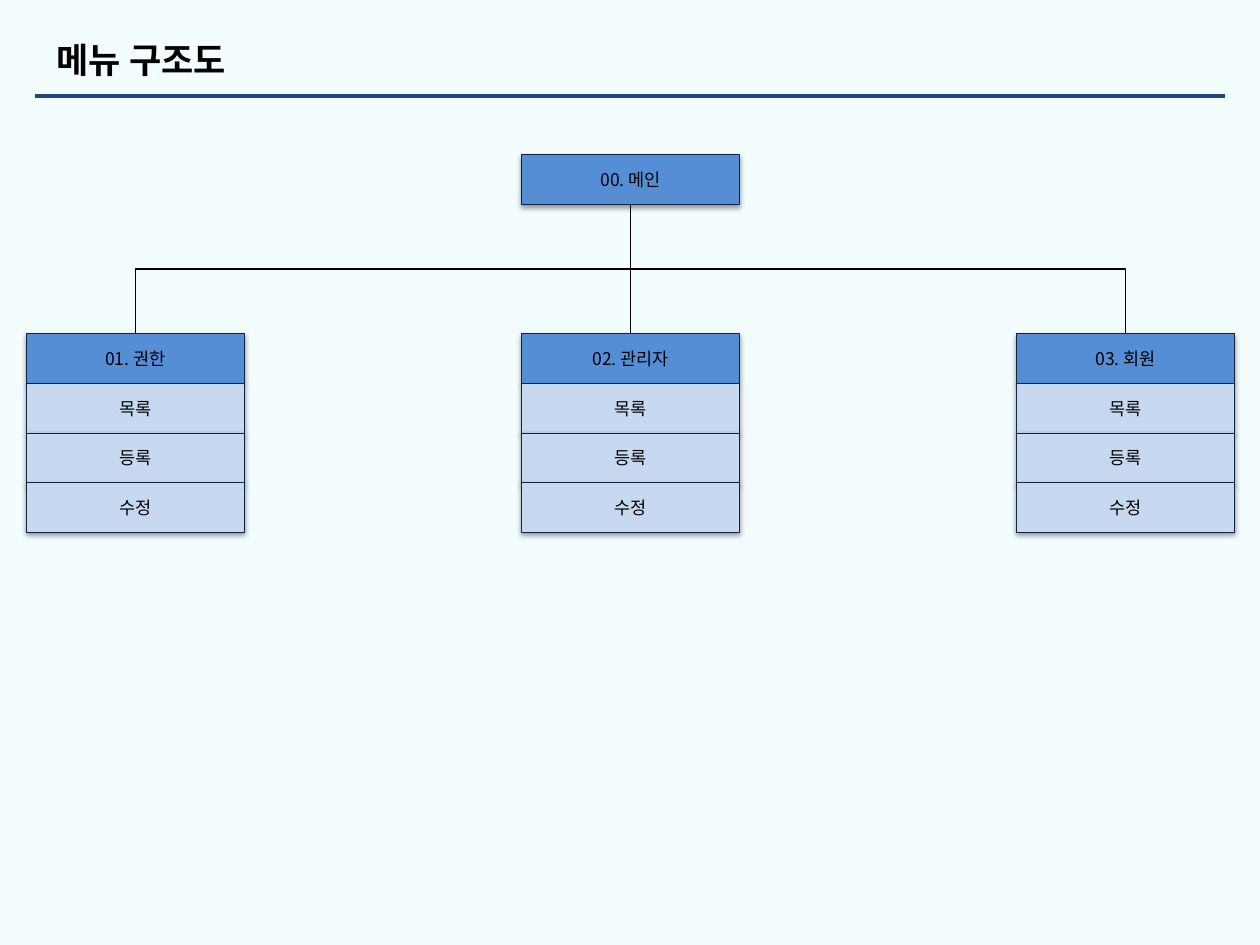
from lxml.etree import SubElement
from pptx import Presentation
from pptx.dml.color import RGBColor
from pptx.enum.shapes import MSO_CONNECTOR, MSO_SHAPE
from pptx.enum.text import MSO_ANCHOR, MSO_AUTO_SIZE, PP_ALIGN
from pptx.oxml import parse_xml
from pptx.oxml.ns import nsdecls, qn
from pptx.util import Cm, Pt

# Content
TITLE = "메뉴 구조도"
ROOT = "00. 메인"
PAGES = ["목록", "등록", "수정"]
MENUS = [("01. 권한", PAGES), ("02. 관리자", PAGES), ("03. 회원", PAGES)]

# Theme
THEME = {
    "font": "Noto Sans CJK KR",
    "title_size": 20, "box_size": 10,
    "background": "F3FCFF", "text": "000000",
    "head": "558ED5", "item": "C6D9F1",
    "border": "0F243E", "link": "000000", "rule": "1F497D",
    "root_line": 0.75, "box_line": 0.5, "link_line": 0.75, "rule_line": 2.5,
}

# Layout in centimetres
BOX_WIDTH, BOX_HEIGHT = 4.4, 1.0
FIRST_LEFT, COLUMN_STEP = 0.53, 9.98
ROOT_TOP, MENU_TOP = 3.12, 6.73
RULE_LEFT, RULE_RIGHT, RULE_TOP = 0.71, 24.69, 1.93

SHADOW = (
    f'<a:effectLst {nsdecls("a")}>'
    '<a:outerShdw blurRad="39370" dist="20320" dir="5400000" rotWithShape="0">'
    '<a:srgbClr val="000000"><a:alpha val="38000"/></a:srgbClr>'
    '</a:outerShdw></a:effectLst>'
)


def color(name):
    return RGBColor.from_string(THEME[name])


def apply(target, values):
    for name, value in values.items():
        setattr(target, name, value)


def write(shape, text, size, align, bold=False):
    frame = shape.text_frame
    apply(frame, {"word_wrap": True, "auto_size": MSO_AUTO_SIZE.NONE,
                  "vertical_anchor": MSO_ANCHOR.MIDDLE})
    para = frame.paragraphs[0]
    para.alignment = align
    span = para.add_run()
    span.text = text
    apply(span.font, {"name": THEME["font"], "size": Pt(THEME[size]), "bold": bold})
    span.font.color.rgb = color("text")
    SubElement(span.font._element, qn("a:ea"), typeface=THEME["font"])


def add_box(page, text, left, top, fill, line="box_line"):
    box = page.shapes.add_shape(MSO_SHAPE.RECTANGLE, Cm(left), Cm(top),
                                Cm(BOX_WIDTH), Cm(BOX_HEIGHT))
    box.fill.solid()
    box.fill.fore_color.rgb = color(fill)
    box.line.color.rgb = color("border")
    box.line.width = Pt(THEME[line])
    box._element.spPr.append(parse_xml(SHADOW))
    write(box, text, "box_size", PP_ALIGN.CENTER)


def add_line(page, kind, start, end, paint, width):
    line = page.shapes.add_connector(kind, *map(Cm, start + end))
    line.line.color.rgb = color(paint)
    line.line.width = Pt(THEME[width])
    SubElement(line._element.spPr, qn("a:effectLst"))
    return line


def add_link(page, start, end):
    """Link downwards; an elbow is turned so that it leaves vertically."""
    (x1, y1), (x2, y2) = start, end
    if x1 == x2:
        add_line(page, MSO_CONNECTOR.STRAIGHT, start, end, "link", "link_line")
        return
    middle_x, middle_y = (x1 + x2) / 2, (y1 + y2) / 2
    side = 1 if x2 > x1 else -1
    across, down = side * (y2 - y1) / 2, abs(x2 - x1) / 2
    elbow = add_line(page, MSO_CONNECTOR.ELBOW,
                     (middle_x + across, middle_y - down),
                     (middle_x - across, middle_y + down), "link", "link_line")
    turn = 270 if side > 0 else 90
    elbow._element.spPr.get_or_add_xfrm().set("rot", str(turn * 60000))


def main():
    deck = Presentation()
    apply(deck, {"slide_width": Cm(25.4), "slide_height": Cm(19.05)})
    page = deck.slides.add_slide(deck.slide_layouts[5])
    page.background.fill.solid()
    page.background.fill.fore_color.rgb = color("background")

    # Title and rule
    title = page.shapes.title
    apply(title, {"left": Cm(0.89), "top": Cm(0.64),
                  "width": Cm(16.89), "height": Cm(1.12)})
    write(title, TITLE, "title_size", PP_ALIGN.LEFT, bold=True)
    add_line(page, MSO_CONNECTOR.STRAIGHT, (RULE_LEFT, RULE_TOP),
             (RULE_RIGHT, RULE_TOP), "rule", "rule_line")

    # Root box above the middle column
    root_left = FIRST_LEFT + COLUMN_STEP * (len(MENUS) // 2)
    add_box(page, ROOT, root_left, ROOT_TOP, "head", "root_line")
    root_foot = (root_left + BOX_WIDTH / 2, ROOT_TOP + BOX_HEIGHT)

    # Menu columns with their links to the root
    for column, (menu, items) in enumerate(MENUS):
        left = FIRST_LEFT + column * COLUMN_STEP
        add_link(page, root_foot, (left + BOX_WIDTH / 2, MENU_TOP))
        for row, text in enumerate([menu, *items]):
            add_box(page, text, left, MENU_TOP + row * BOX_HEIGHT,
                    "item" if row else "head")

    deck.save("out.pptx")


if __name__ == "__main__":
    main()
